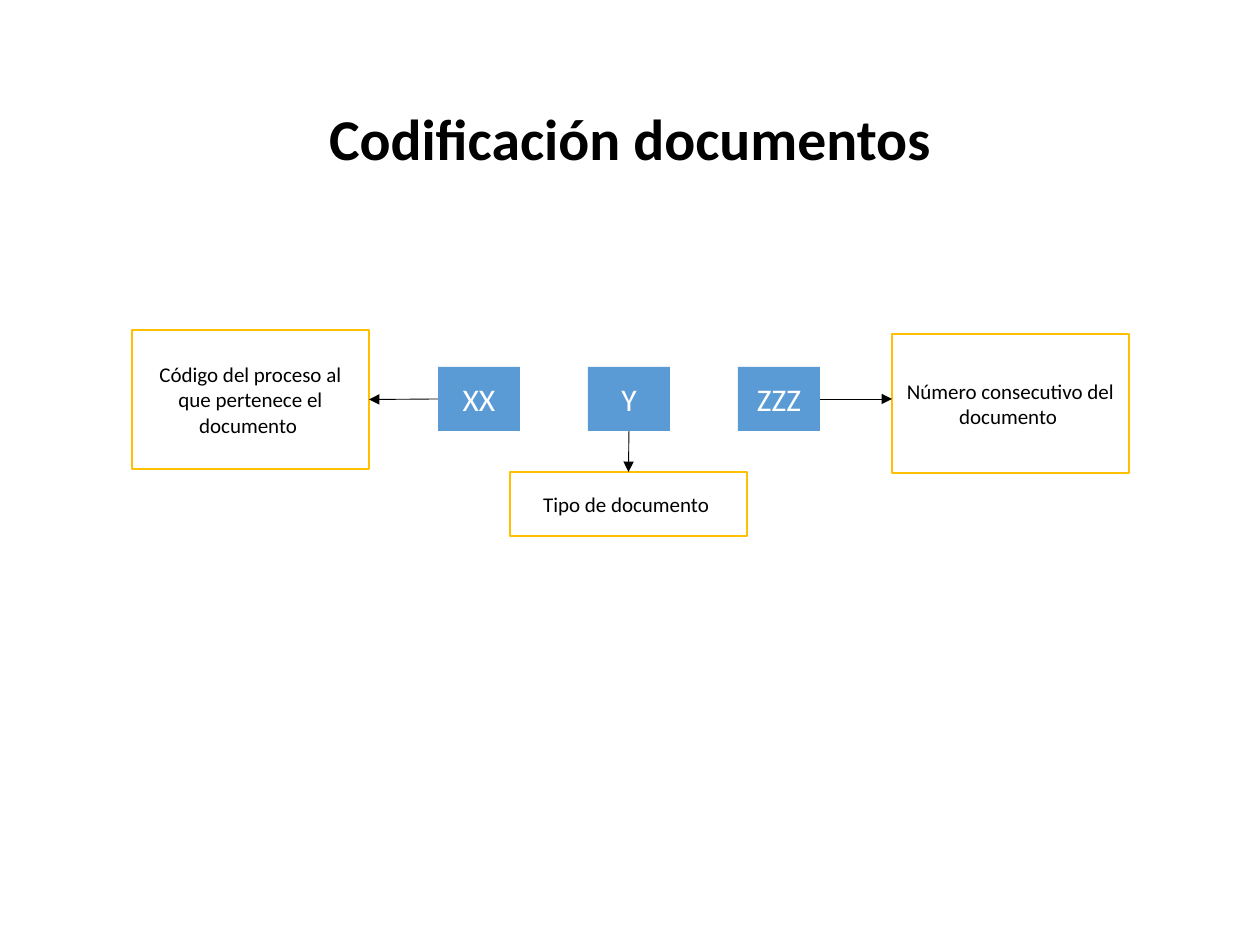
import pptx
import pptx.dml.color
import pptx.enum.shapes
import pptx.enum.text
import pptx.oxml
import pptx.oxml.ns
import pptx.util

RGB = pptx.dml.color.RGBColor
BLACK = RGB(0x00, 0x00, 0x00)
WHITE = RGB(0xFF, 0xFF, 0xFF)
BLUE = RGB(0x5B, 0x9B, 0xD5)
AMBER = RGB(0xFF, 0xC0, 0x00)

TOP, LEFT, BOTTOM, RIGHT = range(4)
CODE_W, CODE_H = 82, 64
CODE_X, CODE_Y, CODE_PITCH = 438, 367, 150
NOTE_W, NOTE_H = 237, 139


def px(n):
    return round(n * 914400 / 126)


class Deck:
    """Holds the text style and the slide being drawn."""

    font = "Calibri"

    def __init__(self, prs):
        self.s = prs.slides.add_slide(prs.slide_layouts[5])

    def set_text(self, tf, text, size, color, bold=False):
        tf.text = text
        tf.word_wrap = True
        tf.auto_size = pptx.enum.text.MSO_AUTO_SIZE.NONE
        tf.vertical_anchor = pptx.enum.text.MSO_ANCHOR.MIDDLE
        p = tf.paragraphs[0]
        p.alignment = pptx.enum.text.PP_ALIGN.CENTER
        f = p.runs[0].font
        f.name, f.size, f.bold = self.font, pptx.util.Pt(size), bold
        f.color.rgb = color
        return p

    def title(self, x, y, w, h, text):
        sp = self.s.shapes.title
        sp.left, sp.top, sp.width, sp.height = map(px, (x, y, w, h))
        p = self.set_text(sp.text_frame, text, 33, BLACK, bold=True)
        p.line_spacing = 0.9

    def box(self, x, y, w, h, text, size, color, fill, line=None):
        sp = self.s.shapes.add_shape(
            pptx.enum.shapes.MSO_SHAPE.RECTANGLE, *map(px, (x, y, w, h)))
        sp.shadow.inherit = False
        sp.fill.solid()
        sp.fill.fore_color.rgb = fill
        if line is None:
            sp.line.fill.background()
        else:
            sp.line.color.rgb = line
            sp.line.width = pptx.util.Pt(1)
        self.set_text(sp.text_frame, text, size, color)
        return sp

    def code(self, x, y, text):
        return self.box(x, y, CODE_W, CODE_H, text, 18, WHITE, BLUE)

    def note(self, x, y, h, text):
        return self.box(x, y, NOTE_W, h, text, 12, BLACK, WHITE, AMBER)

    def arrow(self, x1, y1, x2, y2, start, start_side, end=None, end_side=None):
        """Draw an arrow from a box side, joined to a second box if one is given."""
        c = self.s.shapes.add_connector(
            pptx.enum.shapes.MSO_CONNECTOR.STRAIGHT, *map(px, (x1, y1, x2, y2)))
        c.begin_connect(start, start_side)
        if end is not None:
            c.end_connect(end, end_side)
        c.line.color.rgb = BLACK
        c.line.width = pptx.util.Pt(0.5)
        ln = c.line._get_or_add_ln()
        ln.append(pptx.oxml.parse_xml(
            f'<a:tailEnd {pptx.oxml.ns.nsdecls("a")} type="triangle"/>'))
        ln.getparent().append(pptx.oxml.parse_xml(
            f'<a:effectLst {pptx.oxml.ns.nsdecls("a")}/>'))


def main():
    prs = pptx.Presentation()
    prs.slide_width, prs.slide_height = px(1260), px(945)
    deck = Deck(prs)
    deck.title(87, 50, 1086, 183, "Codificación documentos")

    process, kind, number = [
        deck.code(CODE_X + i * CODE_PITCH, CODE_Y, text)
        for i, text in enumerate(("XX", "Y", "ZZZ"))]
    process_note = deck.note(
        132, 330, NOTE_H, "Código del proceso al que pertenece el documento ")
    kind_note = deck.note(510, 472, CODE_H, "Tipo de documento ")
    deck.note(892, 334, NOTE_H, "Número consecutivo del documento ")

    mid_y = CODE_Y + CODE_H // 2
    deck.arrow(438, mid_y, 369, mid_y, process, LEFT, process_note, RIGHT)
    deck.arrow(629, 431, 629, 472, kind, BOTTOM, kind_note, TOP)
    deck.arrow(820, mid_y, 892, mid_y, number, RIGHT)

    prs.save("out.pptx")


if __name__ == "__main__":
    main()
